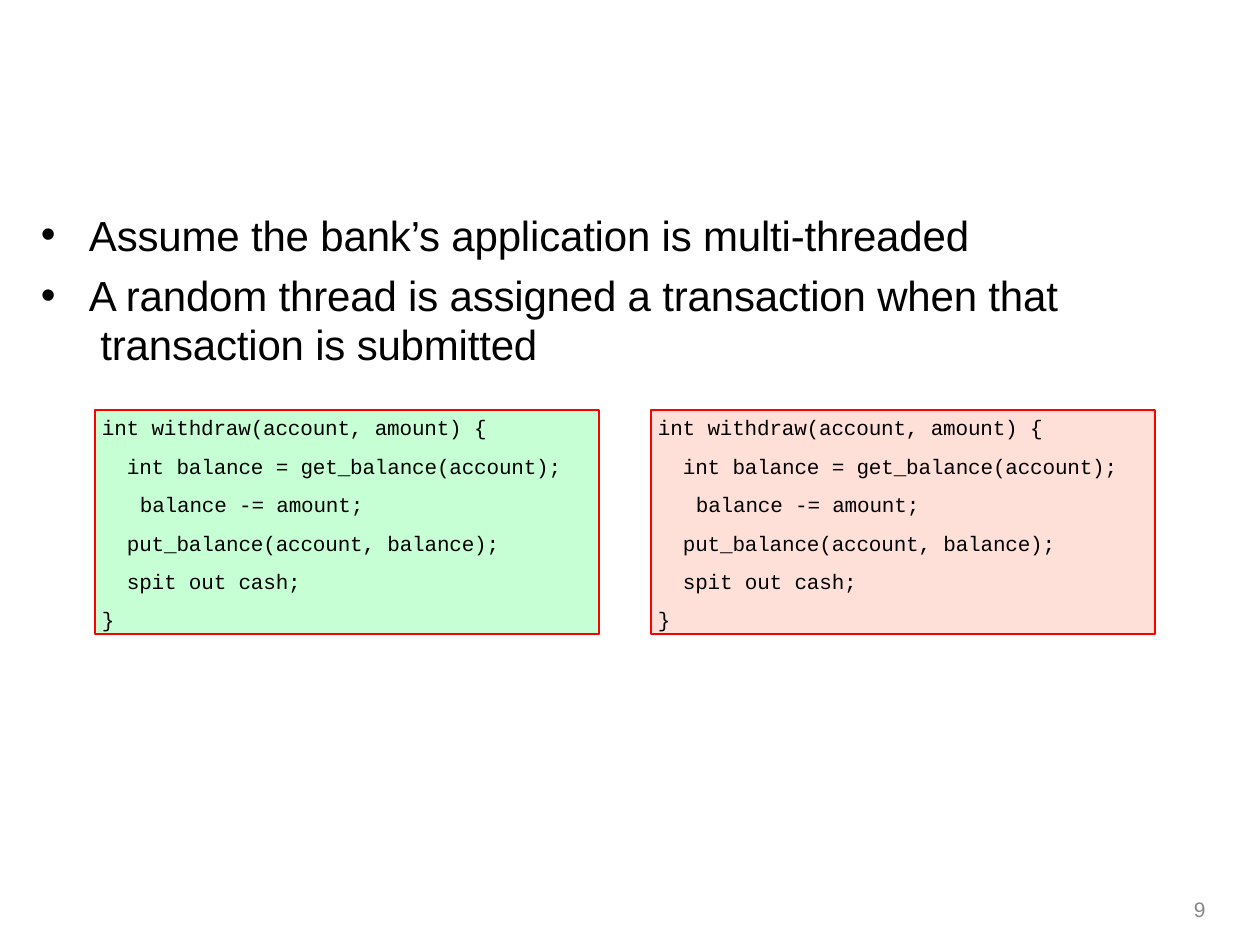
"""Build the slide on two threads running the same withdrawal code."""
from dataclasses import dataclass

from lxml import etree
from pptx import Presentation
from pptx.dml.color import RGBColor
from pptx.enum.shapes import MSO_SHAPE
from pptx.enum.text import MSO_ANCHOR, PP_ALIGN
from pptx.oxml.ns import qn
from pptx.util import Emu, Pt

RECTANGLE = MSO_SHAPE.RECTANGLE
TOP = MSO_ANCHOR.TOP
LEFT = PP_ALIGN.LEFT
PX = 914400 // 126


@dataclass(frozen=True)
class Theme:
    body_font: str = "Arial"
    code_font: str = "Courier New"
    body_size: float = 24
    small_size: float = 12
    ink: str = "000000"
    muted: str = "888888"
    border: str = "FF0000"
    thread_fills: tuple = ("C5FFD3", "FFE0D9")
    tightening: int = -10


THEME = Theme()
PAGE_NUMBER = "9"
POINTS = [
    ("Assume the bank’s application is multi-threaded", 6.2, None),
    ("A random thread is assigned a transaction when that\v transaction is submitted", 6.8, 28),
]
CODE = [
    ("int withdraw(account, amount) {", 7),
    ("int balance = get_balance(account);", 32),
    ("balance -= amount;", 45),
    ("put_balance(account, balance);", 32),
    ("spit out cash;", 32),
    ("}", 7),
]
FIRST_GAP, CODE_GAP = 2.7, 7.5
POINTS_BOX = (40, 198, 1029, 171)
PAGE_BOX = (1189, 897, 42, 26)
CODE_LEFT, CODE_TOP, CODE_WIDTH, CODE_HEIGHT = 95, 410, 504, 224
CODE_STEP = 556
BULLET_INDENT, BULLET_HANG = 49, 48


def px(length):
    return Emu(length * PX)


def prepare(frame, top_inset):
    frame.word_wrap = True
    frame.vertical_anchor = TOP
    frame.margin_left = frame.margin_right = frame.margin_bottom = 0
    frame.margin_top = px(top_inset)


def write(frame, lines, font, size, color, spacing=0):
    frame.text = "\n".join(lines)
    for paragraph in frame.paragraphs:
        paragraph.alignment = LEFT
        for run in paragraph.runs:
            run.font.name = font
            run.font.size = Pt(size)
            run.font.color.rgb = RGBColor.from_string(color)
            run.font._element.set("spc", str(spacing))
    return frame.paragraphs


def indent(paragraph, left, hang=0):
    properties = paragraph._p.get_or_add_pPr()
    properties.set("marL", str(px(left)))
    properties.set("indent", str(px(-hang)))
    return properties


def add_text_box(slide, box, top_inset):
    frame = slide.shapes.add_textbox(*map(px, box)).text_frame
    prepare(frame, top_inset)
    return frame


def add_points(slide):
    frame = add_text_box(slide, POINTS_BOX, 11)
    paragraphs = write(frame, [text for text, _, _ in POINTS], THEME.body_font,
                       THEME.body_size, THEME.ink, THEME.tightening)
    for paragraph, (_, gap, line_height) in zip(paragraphs, POINTS):
        paragraph.space_before = Pt(gap)
        if line_height:
            paragraph.line_spacing = Pt(line_height)
        properties = indent(paragraph, BULLET_INDENT, BULLET_HANG)
        etree.SubElement(properties, qn("a:buFont"), typeface=THEME.body_font)
        etree.SubElement(properties, qn("a:buChar"), char="•")


def add_code(slide, column, fill):
    box = (CODE_LEFT + column * CODE_STEP, CODE_TOP, CODE_WIDTH, CODE_HEIGHT)
    panel = slide.shapes.add_shape(RECTANGLE, *map(px, box))
    panel.shadow.inherit = False
    panel.fill.solid()
    panel.fill.fore_color.rgb = RGBColor.from_string(fill)
    panel.line.color.rgb = RGBColor.from_string(THEME.border)
    panel.line.width = Pt(1)
    prepare(panel.text_frame, 5)
    paragraphs = write(panel.text_frame, [text for text, _ in CODE], THEME.code_font,
                       THEME.small_size, THEME.ink, THEME.tightening)
    for row, (paragraph, (_, left)) in enumerate(zip(paragraphs, CODE)):
        indent(paragraph, left)
        paragraph.space_before = Pt(CODE_GAP if row else FIRST_GAP)


def add_page_number(slide):
    frame = add_text_box(slide, PAGE_BOX, 0)
    number = write(frame, [PAGE_NUMBER], THEME.body_font, THEME.small_size, THEME.muted)[0]
    number.line_spacing = Pt(14.2)
    indent(number, 5)


def main():
    deck = Presentation()
    deck.slide_width, deck.slide_height = px(1260), px(945)
    slide = deck.slides.add_slide(deck.slide_layouts[6])
    add_page_number(slide)
    add_points(slide)
    for column, fill in enumerate(THEME.thread_fills):
        add_code(slide, column, fill)
    deck.save("out.pptx")


main()
